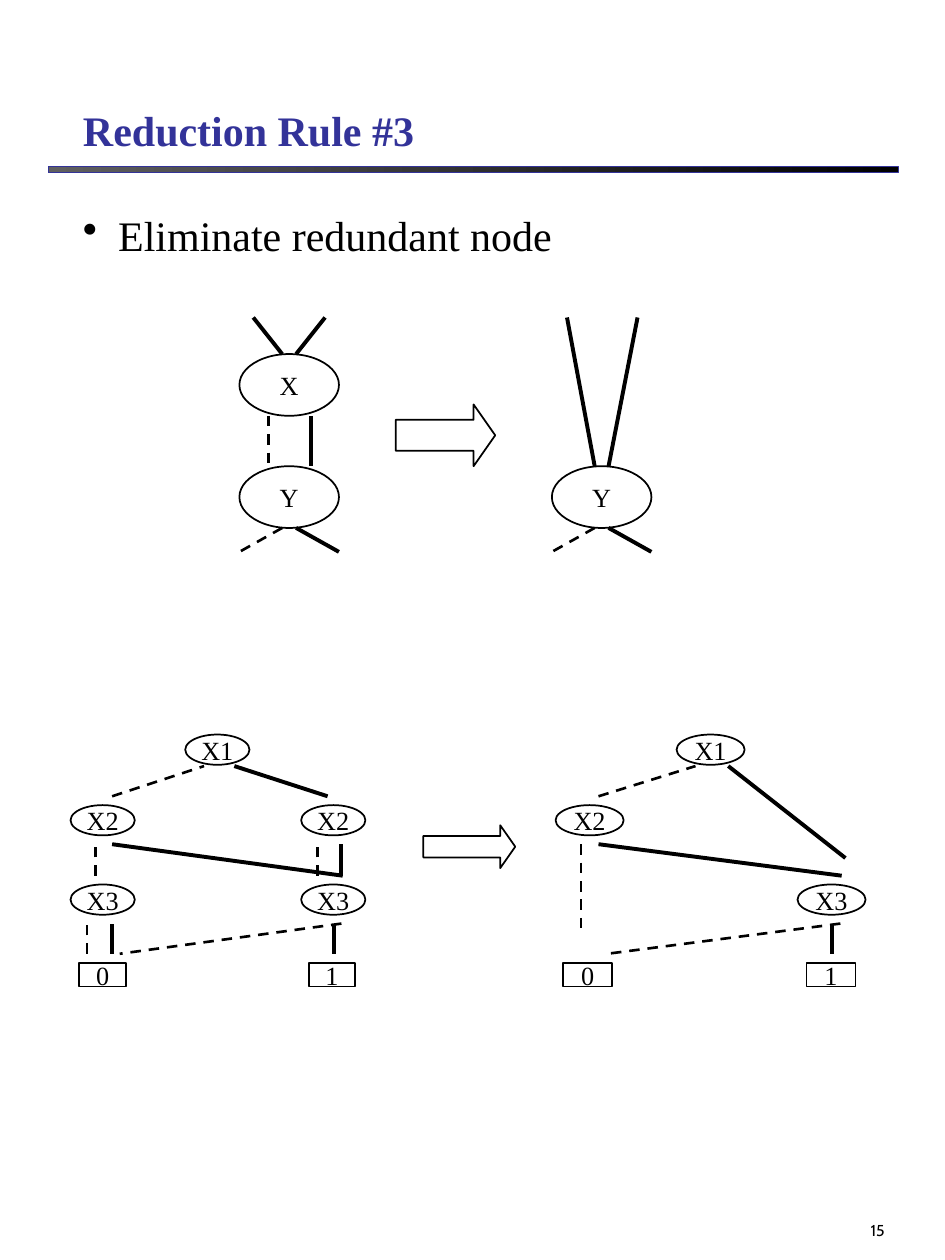
from dataclasses import dataclass
from lxml import etree
from pptx import Presentation
from pptx.dml.color import RGBColor
from pptx.enum.dml import MSO_LINE
from pptx.enum.shapes import MSO_CONNECTOR, MSO_SHAPE
from pptx.enum.text import MSO_ANCHOR, PP_ALIGN
from pptx.oxml.ns import qn
from pptx.util import Inches, Pt

OVAL, RECT, ARROW = MSO_SHAPE.OVAL, MSO_SHAPE.RECTANGLE, MSO_SHAPE.RIGHT_ARROW
LINE, DASH = MSO_CONNECTOR.STRAIGHT, MSO_LINE.DASH
TOP, MIDDLE, BOTTOM = MSO_ANCHOR.TOP, MSO_ANCHOR.MIDDLE, MSO_ANCHOR.BOTTOM
LEFT, CENTER, RIGHT = PP_ALIGN.LEFT, PP_ALIGN.CENTER, PP_ALIGN.RIGHT
COLORS = {"ink": "000000", "blue": "333399", "gray": "5F5F5F"}
SERIF, SANS = "Times New Roman", "Cabin"
COLS, ROWS = 750, 1000

deck = Presentation()
deck.slide_width, deck.slide_height = Inches(7.5), Inches(10)
slide = deck.slides.add_slide(deck.slide_layouts[6])
shapes = slide.shapes


@dataclass
class Box:
    col: float
    row: float
    wide: float
    high: float
    text: str = ""
    kind: int = OVAL


@dataclass
class Edge:
    col: float
    row: float
    end_col: float
    end_row: float
    solid: bool = True


def tint(name: str) -> RGBColor:
    return RGBColor.from_string(COLORS[name])


def place(col: float, row: float) -> tuple[int, int]:
    return round(deck.slide_width * col / COLS), round(deck.slide_height * row / ROWS)


def write(frame, text: str, size: float = 15, font: str = SERIF, color: str = "ink",
          bold: bool = False, align: int = CENTER, anchor: int = MIDDLE,
          wrap: bool = False, bullet: bool = False) -> None:
    frame.word_wrap = wrap
    frame.vertical_anchor = anchor
    para = frame.paragraphs[0]
    para.alignment = align
    if bullet:
        props = para._p.get_or_add_pPr()
        props.set("marL", str(Inches(0.28)))
        props.set("indent", str(-Inches(0.28)))
        etree.SubElement(props, qn("a:buChar")).set("char", "•")
    run = para.add_run()
    run.text = text
    run.font.size, run.font.name, run.font.bold = Pt(size), font, bold
    run.font.color.rgb = tint(color)


def label(box: Box, top: float = 0.05, **style) -> None:
    item = shapes.add_textbox(*place(box.col, box.row), *place(box.wide, box.high))
    item.text_frame.margin_top = Inches(top)
    write(item.text_frame, box.text, wrap=True, **style)


def draw(box: Box, color: str = "ink", weight: float = 1):
    item = shapes.add_shape(box.kind, *place(box.col, box.row), *place(box.wide, box.high))
    item.shadow.inherit = False
    item.fill.background()
    item.line.color.rgb = tint(color)
    item.line.width = Pt(weight)
    if box.kind == ARROW:
        item.adjustments[1] = 0.35
    if box.text:
        frame = item.text_frame
        frame.margin_left = frame.margin_right = frame.margin_top = frame.margin_bottom = 0
        write(frame, box.text)
    return item


def join(edge: Edge) -> None:
    item = shapes.add_connector(LINE, *place(edge.col, edge.row),
                                *place(edge.end_col, edge.end_row))
    etree.SubElement(item._element.spPr, qn("a:effectLst"))
    item.line.color.rgb = tint("ink")
    item.line.width = Pt(2.25 if edge.solid else 1.5)
    if not edge.solid:
        item.line.dash_style = DASH


def rule() -> None:
    bar = draw(Box(38, 132, 675, 5, kind=RECT), color="blue", weight=0.25)
    bar.fill.gradient()
    bar.fill.gradient_angle = 0
    for stop, name, spot in zip(bar.fill.gradient_stops, ("gray", "ink"), (0, 1)):
        stop.color.rgb = tint(name)
        stop.position = spot


TIERS = {"X1": 583, "X2": 639, "X3": 702}


def tree(wide: float, leaf: float, spots: list[tuple[str, float]],
         ends: list[tuple[str, float]]) -> list[Box]:
    nodes = [Box(col, TIERS[name], wide, 24, name) for name, col in spots]
    return nodes + [Box(col, 764, leaf, 19, name, RECT) for name, col in ends]


def fork(col: float) -> list[Edge]:
    return [Edge(col + 34, 419, col, 438, False), Edge(col + 45, 419, col + 79, 438)]


boxes = tree(51, 37, [("X1", 147), ("X2", 56), ("X2", 239), ("X3", 56), ("X3", 239)],
             [("0", 63), ("1", 245)])
boxes += tree(54, 39, [("X1", 537), ("X2", 441), ("X3", 633)], [("0", 447), ("1", 640)])
boxes += [Box(col, row, 79, 49, text)
          for col, row, text in ((190, 281, "X"), (190, 370, "Y"), (438, 370, "Y"))]
boxes += [Box(336, 655, 73, 34, kind=ARROW), Box(314, 321, 79, 49, kind=ARROW)]

edges = [
    Edge(89, 632, 162, 608, False), Edge(186, 608, 260, 632),
    Edge(76, 695, 76, 670, False), Edge(89, 670, 272, 695),
    Edge(252, 695, 252, 670, False), Edge(271, 670, 271, 695),
    Edge(69, 757, 69, 733, False), Edge(89, 757, 89, 733),
    Edge(265, 733, 265, 757), Edge(271, 733, 95, 757, False),
    Edge(475, 632, 552, 608, False), Edge(578, 608, 671, 681),
    Edge(461, 670, 461, 743, False), Edge(475, 670, 668, 695),
    Edge(660, 733, 660, 757), Edge(667, 733, 482, 757, False),
    Edge(213, 330, 213, 370, False), Edge(247, 330, 247, 370),
    Edge(224, 281, 201, 252), Edge(235, 281, 258, 252),
    Edge(472, 370, 450, 252), Edge(483, 370, 506, 252),
    *fork(190), *fork(438),
]

rule()
label(Box(556, 922, 156, 67, "15"), size=9, font=SANS, align=RIGHT, anchor=BOTTOM)
label(Box(56, 59, 638, 69, "Reduction Rule #3"), size=24, color="blue", bold=True,
      align=LEFT, anchor=BOTTOM)
label(Box(56, 156, 638, 60, "Eliminate redundant node"), top=0.1, size=24,
      align=LEFT, anchor=TOP, bullet=True)
for box in boxes:
    draw(box)
for edge in edges:
    join(edge)
deck.save("out.pptx")
